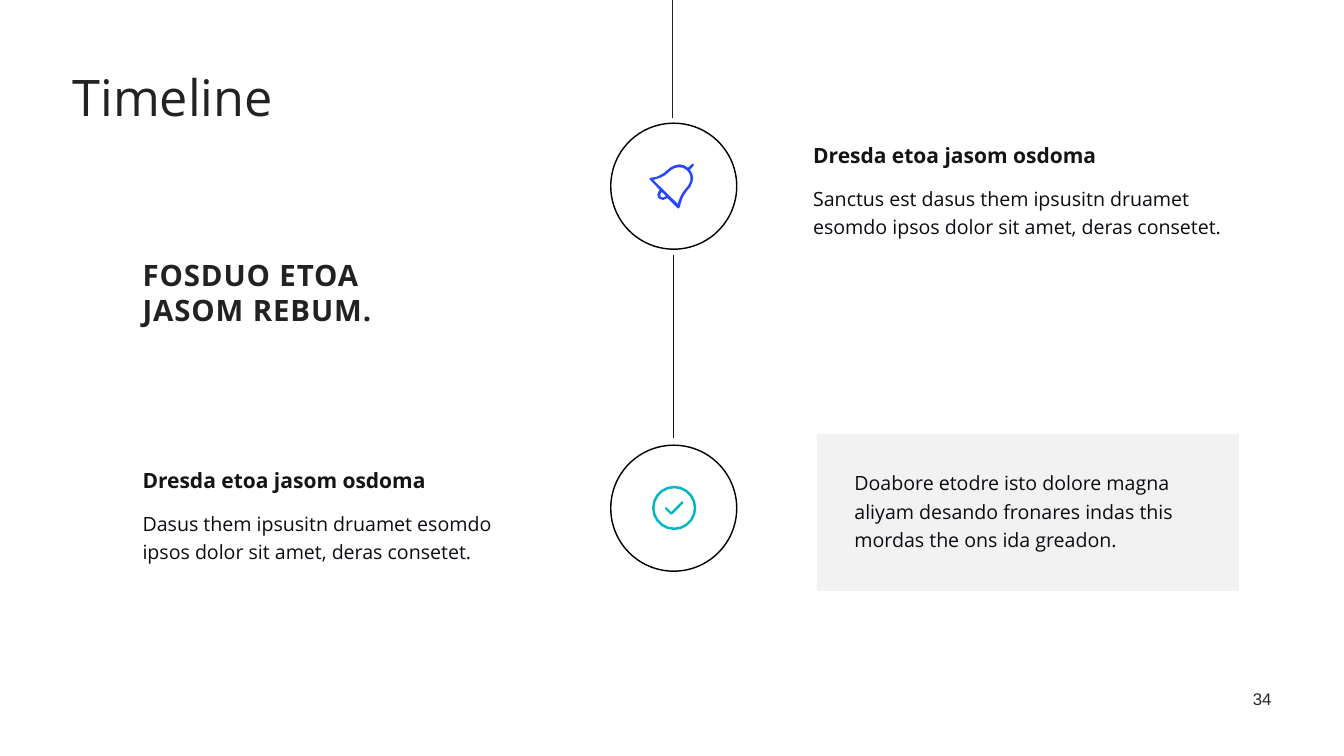
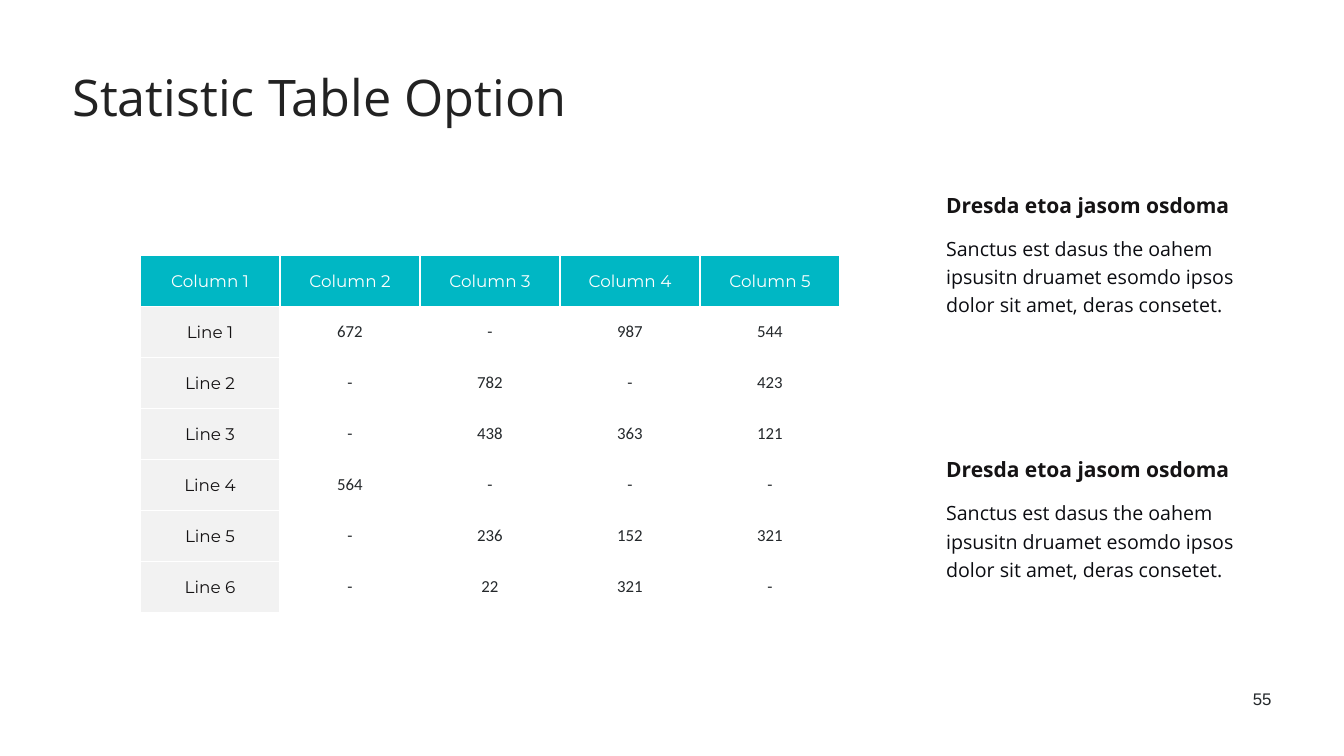
import math
from dataclasses import dataclass

import lxml.etree
import pptx
import pptx.dml.color
import pptx.enum.shapes
import pptx.enum.text
import pptx.oxml
import pptx.oxml.ns
import pptx.util

COLS, ROWS = 19.2, 10.8
CELL = pptx.util.Pt(100)
SHAPE = pptx.enum.shapes.MSO_SHAPE
ALIGN = pptx.enum.text.PP_ALIGN


@dataclass(frozen=True)
class Style:
    """Look of one kind of text."""
    size: float
    color: str
    font: str = "Open Sans"
    bold: bool = False
    leading: float = 1.0
    tracking: float = 0
    align: object = ALIGN.LEFT


@dataclass(frozen=True)
class Theme:
    """Colours and type sizes of the deck."""
    white: str = "FFFFFF"
    panel: str = "F2F2F2"
    teal: str = "00B7C4"
    blue: str = "2846FF"
    spine_top: str = "222222"
    spine: str = "111111"
    ring: str = "000000"
    line: float = 2
    border: float = 3
    inset: float = 0.05
    title: Style = Style(72, "222222", leading=0.9)
    heading: Style = Style(30, "151314", bold=True, leading=1.2)
    body: Style = Style(28, "0B0C11", leading=1.2)
    callout: Style = Style(42, "222222", bold=True, tracking=1.3)
    number: Style = Style(24, "24282B", "Arial", align=ALIGN.RIGHT)
    th: Style = Style(24, "FFFFFF", "Montserrat", align=ALIGN.CENTER)
    row_name: Style = Style(24, "151314", "Montserrat", align=ALIGN.CENTER)
    value: Style = Style(24, "24282B", "Calibri", align=ALIGN.CENTER)


@dataclass(frozen=True)
class Box:
    """Place on the grid, in columns and rows."""
    x: float
    y: float
    w: float
    h: float

    def emu(self):
        """Return the box as lengths for python-pptx."""
        return [round(v * CELL) for v in (self.x, self.y, self.w, self.h)]

    def inner(self, dx, dy):
        """Return the box shrunk by a margin on each side."""
        return Box(self.x + dx, self.y + dy, self.w - 2 * dx, self.h - 2 * dy)


T = Theme()

BELL = [
    [(88, 0), (85, 0), (77, 8), (65, -3, 48, 0, 34, 14), (28, 20, 21, 23, 14, 26),
     (2, 28), (0, 30), (21, 52), (19, 54), (15, 58, 15, 65, 19, 69),
     (24, 74, 31, 72, 34, 69), (36, 68), (56, 88), (58, 89), (61, 86), (63, 77),
     (65, 69, 69, 61, 74, 55), (89, 40, 91, 24, 81, 12), (88, 4)],
    [(31, 66), (27, 67), (23, 66), (22, 62), (23, 58), (25, 56), (33, 64)],
    [(82, 32), (81, 38, 77, 45, 71, 51), (65, 58, 61, 66, 58, 75), (57, 80), (8, 32),
     (15, 30), (23, 28, 31, 24, 37, 18), (44, 11, 50, 8, 57, 7),
     (64, 6, 70, 8, 75, 13), (81, 19, 83, 25, 82, 32)],
]
TICK = [(61, 31), (59, 31), (38, 52), (29, 43), (26, 43), (26, 46), (37, 57),
        (40, 57), (62, 35), (62, 32)]


def circle(radius, center=44, steps=20):
    """Return the points of a circle in icon units."""
    turns = [2 * math.pi * i / steps for i in range(steps)]
    return [(center + radius * math.cos(a), center + radius * math.sin(a)) for a in turns]


CHECK = [circle(44), circle(39), TICK]


def rgb(color):
    """Return a colour object from its hex code."""
    return pptx.dml.color.RGBColor.from_string(color)


def fill(obj, color):
    """Fill a shape or a cell with one colour."""
    obj.fill.solid()
    obj.fill.fore_color.rgb = rgb(color)


def write(tf, text, style):
    """Put one styled run in a text frame."""
    p = tf.paragraphs[0]
    p.alignment = style.align
    p.line_spacing = style.leading
    r = p.add_run()
    r.text = text
    r.font.size = pptx.util.Pt(style.size)
    r.font.name = style.font
    r.font.bold = style.bold
    r.font.color.rgb = rgb(style.color)
    if style.tracking:
        r.font._element.set("spc", str(round(style.tracking * 100)))


def set_insets(obj):
    """Give a text frame or a cell the shared insets."""
    margin = pptx.util.Inches(T.inset)
    obj.margin_left = obj.margin_right = obj.margin_top = obj.margin_bottom = margin


def add_text(s, box, text, style):
    """Add a wrapping text box."""
    tf = s.shapes.add_textbox(*box.emu()).text_frame
    tf.word_wrap = True
    tf.auto_size = pptx.enum.text.MSO_AUTO_SIZE.SHAPE_TO_FIT_TEXT
    set_insets(tf)
    write(tf, text, style)


def add_spine(s, x, top, bottom, color):
    """Add a vertical piece of the timeline."""
    ends = [round(v * CELL) for v in (x, top, x, bottom)]
    c = s.shapes.add_connector(pptx.enum.shapes.MSO_CONNECTOR.STRAIGHT, *ends)
    c.line.color.rgb = rgb(color)
    c.line.width = pptx.util.Pt(T.line)
    lxml.etree.SubElement(c._element.spPr, pptx.oxml.ns.qn("a:effectLst"))


def flatten(contour, stride=8):
    """Turn line and cubic segments into points, more on longer curves."""
    points = [contour[0]]
    for seg in contour[1:]:
        if len(seg) == 2:
            points.append(seg)
            continue
        knots = [points[-1], seg[:2], seg[2:4], seg[4:]]
        steps = max(2, round(math.dist(knots[0], knots[3]) / stride))
        for i in range(1, steps + 1):
            t = i / steps
            weights = [math.comb(3, k) * t ** k * (1 - t) ** (3 - k) for k in range(4)]
            points.append(tuple(sum(w * k[axis] for w, k in zip(weights, knots))
                                for axis in (0, 1)))
    return points


def add_icon(s, box, contours, color):
    """Draw a filled icon of 89 units in a box."""
    x, y, w, h = box.emu()
    outlines = [[(px * w / 89, py * h / 89) for px, py in flatten(c)] for c in contours]
    fb = s.shapes.build_freeform(*outlines[0][0])
    for i, points in enumerate(outlines):
        if i:
            fb.move_to(*points[0])
        fb.add_line_segments(points[1:], close=True)
    sp = fb.convert_to_shape(x, y)
    sp.shadow.inherit = False
    fill(sp, color)
    sp.line.fill.background()


def add_node(s, box, contours, color, nudge=0):
    """Add a timeline ring with its icon."""
    sp = s.shapes.add_shape(SHAPE.OVAL, *box.emu())
    sp.shadow.inherit = False
    sp.fill.background()
    sp.line.color.rgb = rgb(T.ring)
    sp.line.width = pptx.util.Pt(T.line)
    icon = box.inner(0.58, 0.58)
    add_icon(s, Box(icon.x + nudge, icon.y, icon.w, icon.h), contours, color)


def add_note(s, box, heading, body):
    """Add a heading with a paragraph below it."""
    add_text(s, Box(box.x, box.y, 4.22, 0.48), heading, T.heading)
    add_text(s, Box(box.x, box.y + 0.64, box.w, box.h - 0.64), body, T.body)


def add_panel(s, box, text):
    """Add a grey panel with text."""
    sp = s.shapes.add_shape(SHAPE.RECTANGLE, *box.emu())
    sp.shadow.inherit = False
    fill(sp, T.panel)
    sp.line.fill.background()
    add_text(s, box.inner(0.5, 0.43), text, T.body)


def style_cell(cell, text, style, color):
    """Write a table cell with its fill and white borders."""
    cell.vertical_anchor = pptx.enum.text.MSO_ANCHOR.MIDDLE
    set_insets(cell)
    write(cell.text_frame, text, style)
    fill(cell, color)
    for i, side in enumerate("LRTB"):
        ln = pptx.oxml.parse_xml(
            f'<a:ln{side} {pptx.oxml.ns.nsdecls("a")} w="{pptx.util.Pt(T.border)}">'
            f'<a:solidFill><a:srgbClr val="{T.white}"/></a:solidFill></a:ln{side}>')
        cell._tc.get_or_add_tcPr().insert(i, ln)


def add_stat_table(s, box, rows):
    """Add a table with a teal top row and a grey first column."""
    n, m = len(rows), len(rows[0])
    table = s.shapes.add_table(n, m, *box.emu()).table
    table.horz_banding = False
    for col in table.columns:
        col.width = round(box.w * CELL / m)
    for row in table.rows:
        row.height = round(box.h * CELL / n)
    for i, texts in enumerate(rows):
        for j, text in enumerate(texts):
            if i == 0:
                look = T.th, T.teal
            elif j == 0:
                look = T.row_name, T.panel
            else:
                look = T.value, T.white
            style_cell(table.cell(i, j), text, *look)


def new_slide(prs, title, number):
    """Add a blank slide with title and page number."""
    s = prs.slides.add_slide(prs.slide_layouts[6])
    fill(s.background, T.white)
    add_text(s, Box(1, 1, 7.4, 1.05), title, T.title)
    add_text(s, Box(COLS - 2, ROWS - 1, 1, 0.37), number, T.number)
    return s


def timeline_slide(prs):
    """Build the timeline slide."""
    s = new_slide(prs, "Timeline", "34")
    axis, size = 9.625, 1.8
    add_spine(s, 9.61, 0, 1.68, T.spine_top)
    add_spine(s, axis, 3.64, 6.26, T.spine)
    for y, icon, color, nudge in ((1.76, BELL, T.blue, -0.03), (6.36, CHECK, T.teal, 0.01)):
        add_node(s, Box(axis - size / 2, y, size, size), icon, color, nudge)
    heading = "Dresda etoa jasom osdoma"
    add_note(s, Box(11.58, 1.93, 6.12, 1.55), heading,
             "Sanctus est dasus them ipsusitn druamet esomdo ipsos dolor sit amet, deras consetet.")
    add_note(s, Box(2, 6.57, 5.6, 1.55), heading,
             "Dasus them ipsusitn druamet esomdo ipsos dolor sit amet, deras consetet.")
    add_text(s, Box(2, 3.64, 4.48, 1.21), "FOSDUO ETOA JASOM REBUM.", T.callout)
    add_panel(s, Box(11.67, 6.2, 6.03, 2.24),
              "Doabore etodre isto dolore magna aliyam desando fronares indas this "
              "mordas the ons ida greadon.")


def table_slide(prs):
    """Build the statistic table slide."""
    s = new_slide(prs, "Statistic Table Option", "55")
    values = ["672 - 987 544", "- 782 - 423", "- 438 363 121",
              "564 - - -", "- 236 152 321", "- 22 321 -"]
    rows = [[f"Column {j}" for j in range(1, 6)]]
    rows += [[f"Line {i}", *line.split()] for i, line in enumerate(values, 1)]
    add_stat_table(s, Box(2, 3.65, 10, 5.1), rows)
    for y in (2.64, 6.42):
        add_note(s, Box(13.48, y, 4.22, 2), "Dresda etoa jasom osdoma",
                 "Sanctus est dasus the oahem ipsusitn druamet esomdo ipsos dolor sit amet, "
                 "deras consetet.")


def main():
    """Build and save the deck."""
    prs = pptx.Presentation()
    prs.slide_width = round(COLS * CELL)
    prs.slide_height = round(ROWS * CELL)
    timeline_slide(prs)
    table_slide(prs)
    prs.save("out.pptx")


if __name__ == "__main__":
    main()
